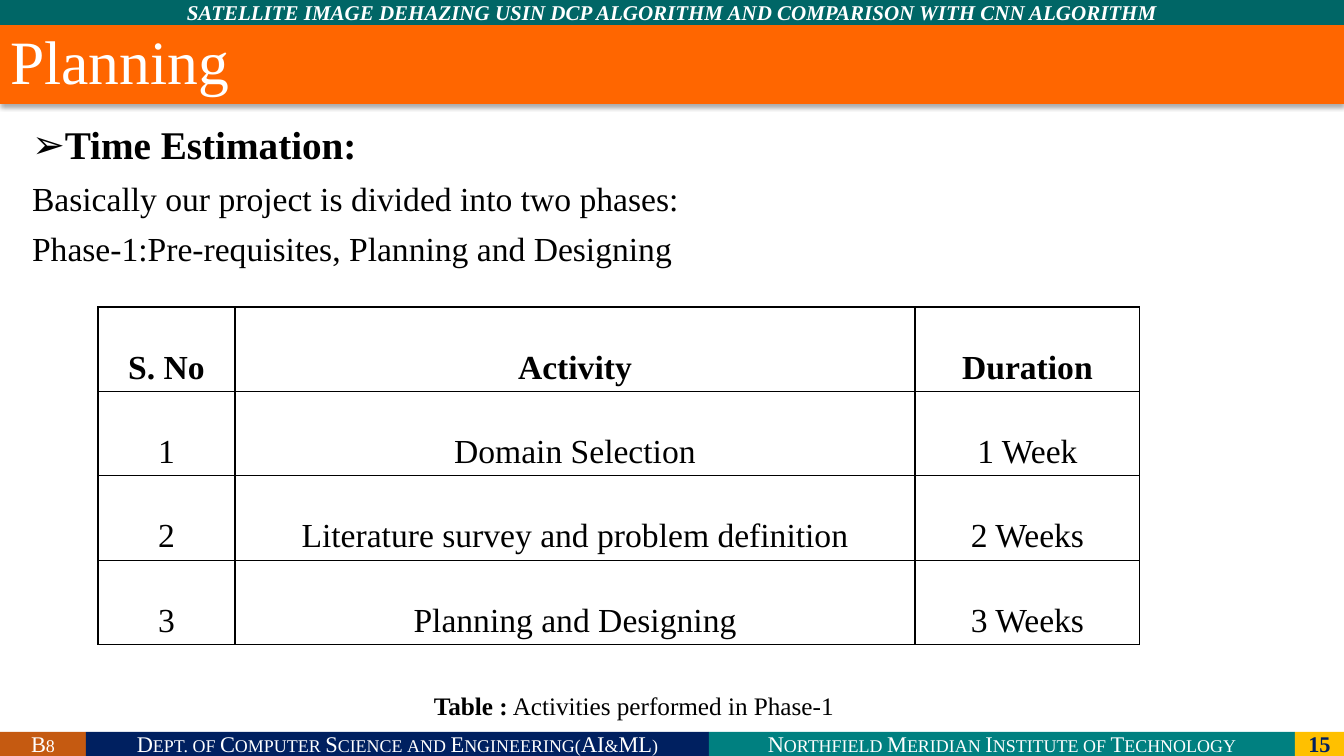
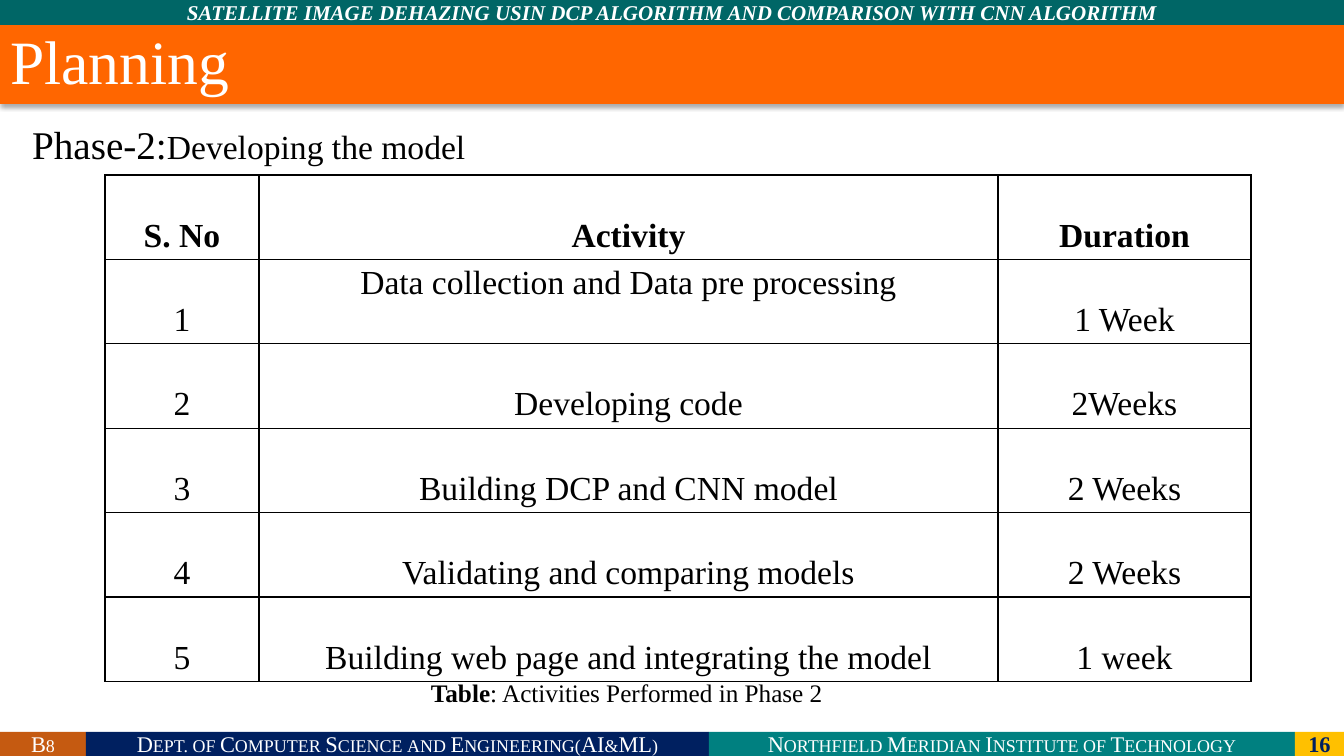
import pptx
import pptx.util
import pptx.dml.color
import pptx.enum.shapes
import pptx.enum.text
import pptx.oxml
import pptx.oxml.ns

RGBColor = pptx.dml.color.RGBColor
ALIGN = pptx.enum.text.PP_ALIGN
ANCHOR = pptx.enum.text.MSO_ANCHOR

WHITE = RGBColor(0xFF, 0xFF, 0xFF)
BLACK = RGBColor(0x00, 0x00, 0x00)
NAVY = RGBColor(0x00, 0x20, 0x60)
TEAL = RGBColor(0x00, 0x80, 0x80)
DARK_TEAL = RGBColor(0x00, 0x66, 0x66)
GOLD = RGBColor(0xFF, 0xC0, 0x00)
RUST = RGBColor(0xC5, 0x5A, 0x11)
ORANGE = RGBColor(0xFF, 0x66, 0x00)

FONT = "Times New Roman"
EMU_PER_PX = 914400 / 100.8
SLIDE_WIDTH, SLIDE_HEIGHT = 1344, 756
HEADER_HEIGHT = 25
TITLE_HEIGHT = 79
FOOTER_HEIGHT = 24
ROW_HEIGHT = 84
BODY_BOX = (22, 121, 1298, 595)
CAPTION_SIZE = (440, 40)
INDENT = 25

HEADER = "SATELLITE IMAGE DEHAZING USIN DCP ALGORITHM AND COMPARISON WITH CNN ALGORITHM"
FOOTERS = [
    ("B8", 86, RUST),
    ("Dept. of Computer Science and Engineering(AI&ML)", 623, NAVY),
    ("Northfield Meridian Institute of Technology", 586, TEAL),
]
TABLE_HEADINGS = ("S. No", "Activity", "Duration")
SINGLE_SPACED = {"Data collection and Data pre processing"}

SLIDES = [
    {
        "number": 15,
        "title": "Planning",
        "body": [
            ("➢", [("Time Estimation:", 28, True)]),
            (None, [("Basically our project is divided into two phases:", 24, False)]),
            (None, [("Phase-1:Pre-requisites, Planning and Designing", 24, False)]),
        ],
        "table_at": (98, 307),
        "columns": (137, 680, 225),
        "activities": [
            ("Domain Selection", "1 Week"),
            ("Literature survey and problem definition", "2 Weeks"),
            ("Planning and Designing", "3 Weeks"),
        ],
        "caption_at": (424, 685),
        "caption": [("Table :", 18, True), (" Activities performed in Phase-1", 18, False)],
    },
    {
        "number": 16,
        "title": "Planning",
        "body": [
            (None, [("Phase-2:", 28, False), ("Developing the model", 24, False)]),
        ],
        "table_at": (105, 175),
        "columns": (154, 739, 253),
        "activities": [
            ("Data collection and Data pre processing", "1 Week"),
            ("Developing code", "2Weeks"),
            ("Building DCP and CNN model", "2 Weeks"),
            ("Validating and comparing models", "2 Weeks"),
            ("Building web page and integrating the model", "1 week"),
        ],
        "caption_at": (421, 672),
        "caption": [("Table", 18, True), (": Activities Performed in Phase 2", 18, False)],
    },
]


def px(length):
    return pptx.util.Emu(round(length * EMU_PER_PX))


def place(shape, left, top, width, height):
    shape.left, shape.top, shape.width, shape.height = map(px, (left, top, width, height))


def xml(tag, attributes="", content=""):
    namespace = pptx.oxml.ns.nsdecls("a")
    return pptx.oxml.parse_xml(f"<a:{tag} {namespace} {attributes}>{content}</a:{tag}>")


def solid(color):
    return f'<a:solidFill><a:srgbClr val="{color}"/></a:solidFill>'


def style(run, size, color=BLACK, bold=False, italic=False):
    run.font.name = FONT
    run.font.size = pptx.util.Pt(size)
    run.font.color.rgb = color
    run.font.bold = bold
    run.font.italic = italic


def write(paragraph, pieces):
    for text, size, bold in pieces:
        run = paragraph.add_run()
        run.text = text
        style(run, size, bold=bold)


def add_band(slide, box, fill, text, size, color=WHITE, bold=False, italic=False, small_caps=False):
    band = slide.shapes.add_shape(pptx.enum.shapes.MSO_SHAPE.RECTANGLE, *map(px, box))
    band.shadow.inherit = False
    band.fill.solid()
    band.fill.fore_color.rgb = fill
    band.line.fill.background()
    frame = band.text_frame
    frame.margin_left = frame.margin_right = frame.margin_top = frame.margin_bottom = 0
    frame.vertical_anchor = ANCHOR.MIDDLE
    frame.text = text
    paragraph = frame.paragraphs[0]
    paragraph.alignment = ALIGN.CENTER
    run = paragraph.runs[0]
    style(run, size, color, bold, italic)
    if small_caps:
        run.font._element.set("cap", "small")


def add_bands(slide, number):
    add_band(slide, (0, 0, SLIDE_WIDTH, HEADER_HEIGHT), DARK_TEAL, HEADER, 15, bold=True, italic=True)
    left, top = 0, SLIDE_HEIGHT - FOOTER_HEIGHT
    for text, width, fill in FOOTERS:
        add_band(slide, (left, top, width, FOOTER_HEIGHT), fill, text, 16, small_caps=True)
        left += width
    add_band(slide, (left, top, SLIDE_WIDTH - left, FOOTER_HEIGHT), GOLD, str(number), 16, NAVY, bold=True)


def fill_title(title, text):
    place(title, 0, HEADER_HEIGHT, SLIDE_WIDTH, TITLE_HEIGHT)
    title.fill.solid()
    title.fill.fore_color.rgb = ORANGE
    title.line.fill.background()
    shadow = (
        '<a:outerShdw blurRad="44450" dist="27940" dir="5400000" algn="t" rotWithShape="0">'
        '<a:srgbClr val="000000"><a:alpha val="32000"/></a:srgbClr></a:outerShdw>'
    )
    title.element.spPr.append(xml("effectLst", content=shadow))
    frame = title.text_frame
    frame.text = text
    frame.auto_size = pptx.enum.text.MSO_AUTO_SIZE.NONE
    frame.vertical_anchor = ANCHOR.MIDDLE
    paragraph = frame.paragraphs[0]
    paragraph.alignment = ALIGN.LEFT
    paragraph.line_spacing = 0.9
    style(paragraph.runs[0], 44, WHITE)


def fill_body(body, lines):
    place(body, *BODY_BOX)
    frame = body.text_frame
    frame.auto_size = pptx.enum.text.MSO_AUTO_SIZE.NONE
    for index, (bullet, pieces) in enumerate(lines):
        paragraph = frame.add_paragraph() if index else frame.paragraphs[0]
        write(paragraph, pieces)
        paragraph.alignment = ALIGN.JUSTIFY
        paragraph.line_spacing = 0.9
        paragraph.space_before = pptx.util.Pt(10)
        properties = paragraph._p.get_or_add_pPr()
        properties.set("marL", str(px(INDENT)))
        properties.set("indent", str(-px(INDENT)))
        properties.append(xml("buChar", f'char="{bullet}"') if bullet else xml("buNone"))


def fill_cell(cell, text, bold):
    cell.fill.background()
    cell.text = text
    paragraph = cell.text_frame.paragraphs[0]
    paragraph.alignment = ALIGN.CENTER
    paragraph.line_spacing = 1.0 if text in SINGLE_SPACED else 2.0
    style(paragraph.runs[0], 24, bold=bold)
    properties = cell._tc.get_or_add_tcPr()
    for position, side in enumerate(("lnL", "lnR", "lnT", "lnB")):
        properties.insert(position, xml(side, 'w="12700"', solid(BLACK)))


def add_activity_table(slide, position, columns, activities):
    numbered = [(str(number), *activity) for number, activity in enumerate(activities, 1)]
    rows = [TABLE_HEADINGS, *numbered]
    size = (sum(columns), ROW_HEIGHT * len(rows))
    table = slide.shapes.add_table(len(rows), len(columns), *map(px, position + size)).table
    table.first_row = False
    table.horz_banding = False
    for column, width in zip(table.columns, columns):
        column.width = px(width)
    for row_index, row in enumerate(rows):
        for column_index, text in enumerate(row):
            fill_cell(table.cell(row_index, column_index), text, bold=row_index == 0)


def add_caption(slide, position, pieces):
    caption = slide.shapes.add_textbox(*map(px, position + CAPTION_SIZE))
    caption.text_frame.word_wrap = True
    write(caption.text_frame.paragraphs[0], pieces)


def main():
    presentation = pptx.Presentation()
    presentation.slide_width = px(SLIDE_WIDTH)
    presentation.slide_height = px(SLIDE_HEIGHT)
    for content in SLIDES:
        slide = presentation.slides.add_slide(presentation.slide_layouts[1])
        add_bands(slide, content["number"])
        fill_title(slide.shapes.title, content["title"])
        fill_body(slide.placeholders[1], content["body"])
        add_activity_table(slide, content["table_at"], content["columns"], content["activities"])
        add_caption(slide, content["caption_at"], content["caption"])
    presentation.save("out.pptx")


if __name__ == "__main__":
    main()
